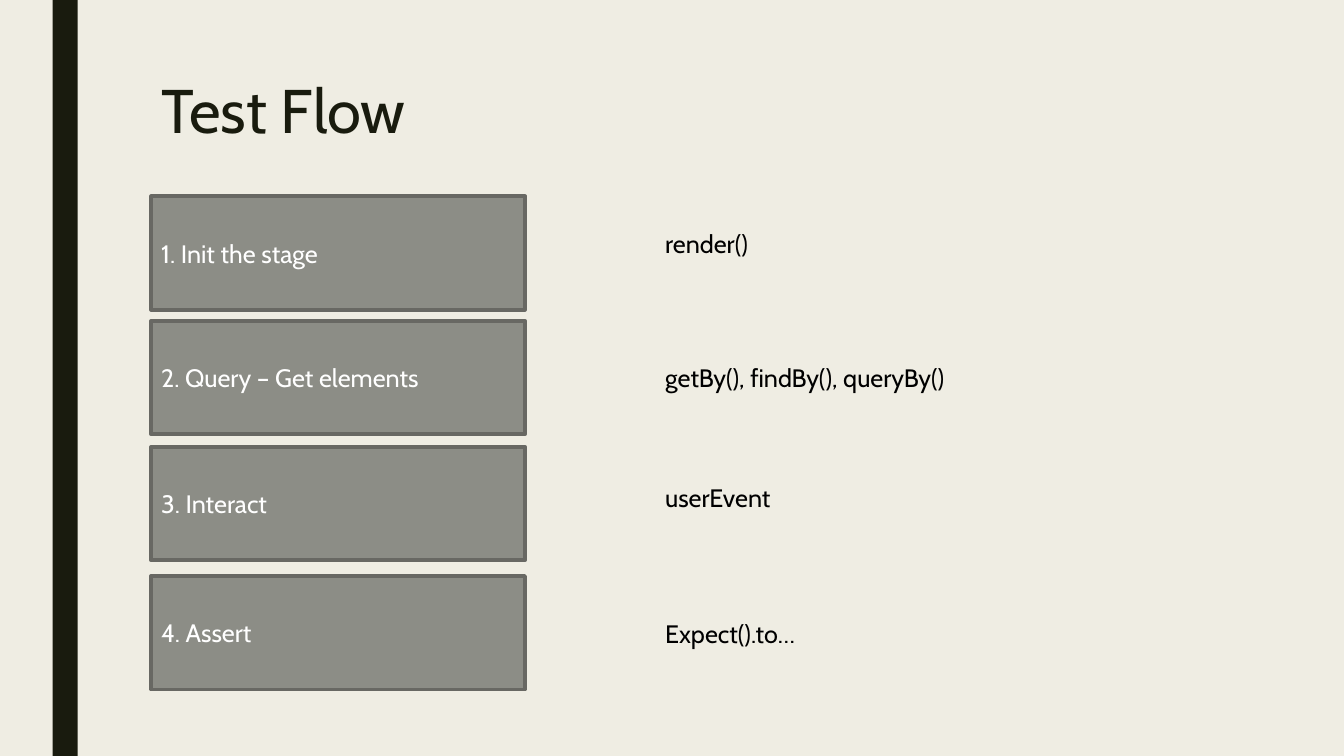
import pptx
import pptx.util
import pptx.dml.color
import pptx.enum.shapes
import pptx.enum.text

Pt = pptx.util.Pt
Anchor = pptx.enum.text.MSO_ANCHOR
Rect = pptx.enum.shapes.MSO_SHAPE.RECTANGLE
COLORS = {
    "paper": "EFEDE3",
    "dark": "191B0E",
    "box": "8C8D86",
    "edge": "686863",
    "white": "FFFFFF",
    "black": "000000",
}


def tint(name):
    return pptx.dml.color.RGBColor.from_string(COLORS[name])


def write(shape, text, size, color, anchor):
    frame = shape.text_frame
    frame.text = text
    frame.word_wrap = True
    frame.vertical_anchor = anchor
    line = frame.paragraphs[0]
    line.alignment = pptx.enum.text.PP_ALIGN.LEFT
    font = line.runs[0].font
    font.name = "Cabin"
    font.size = Pt(size)
    font.color.rgb = tint(color)


deck = pptx.Presentation()
deck.slide_width = Pt(960)
deck.slide_height = Pt(540)
slide = deck.slides.add_slide(deck.slide_layouts[5])
slide.background.fill.solid()
slide.background.fill.fore_color.rgb = tint("paper")

bar = slide.shapes.add_shape(Rect, Pt(37.5), Pt(0), Pt(18), Pt(540))
bar.shadow.inherit = False
bar.fill.solid()
bar.fill.fore_color.rgb = tint("dark")
bar.line.fill.background()

title = slide.shapes.title
title.left, title.top = Pt(108), Pt(54)
title.width, title.height = Pt(756), Pt(117)
write(title, "Test Flow", 44, "dark", Anchor.TOP)
title.text_frame.auto_size = pptx.enum.text.MSO_AUTO_SIZE.NONE
title.text_frame.paragraphs[0].line_spacing = 0.89

steps = [
    ("1. Init the stage", 140.2, "render()", 159.2, 145.5),
    ("2. Query – Get elements", 229.2, "getBy(), findBy(), queryBy()", 255, 250.5),
    ("3. Interact", 319.2, "userEvent", 340.8, 250.5),
    ("4. Assert", 411.5, "Expect().to…", 437.8, 250.5),
]
for step, top, call, low, wide in steps:
    box = slide.shapes.add_shape(Rect, Pt(108), Pt(top), Pt(267), Pt(81))
    box.shadow.inherit = False
    box.fill.solid()
    box.fill.fore_color.rgb = tint("box")
    box.line.color.rgb = tint("edge")
    box.line.width = Pt(2.75)
    write(box, step, 18, "white", Anchor.MIDDLE)

    note = slide.shapes.add_textbox(Pt(468), Pt(low), Pt(wide), Pt(29))
    write(note, call, 18, "black", Anchor.TOP)
    note.text_frame.auto_size = pptx.enum.text.MSO_AUTO_SIZE.SHAPE_TO_FIT_TEXT

deck.save("out.pptx")
